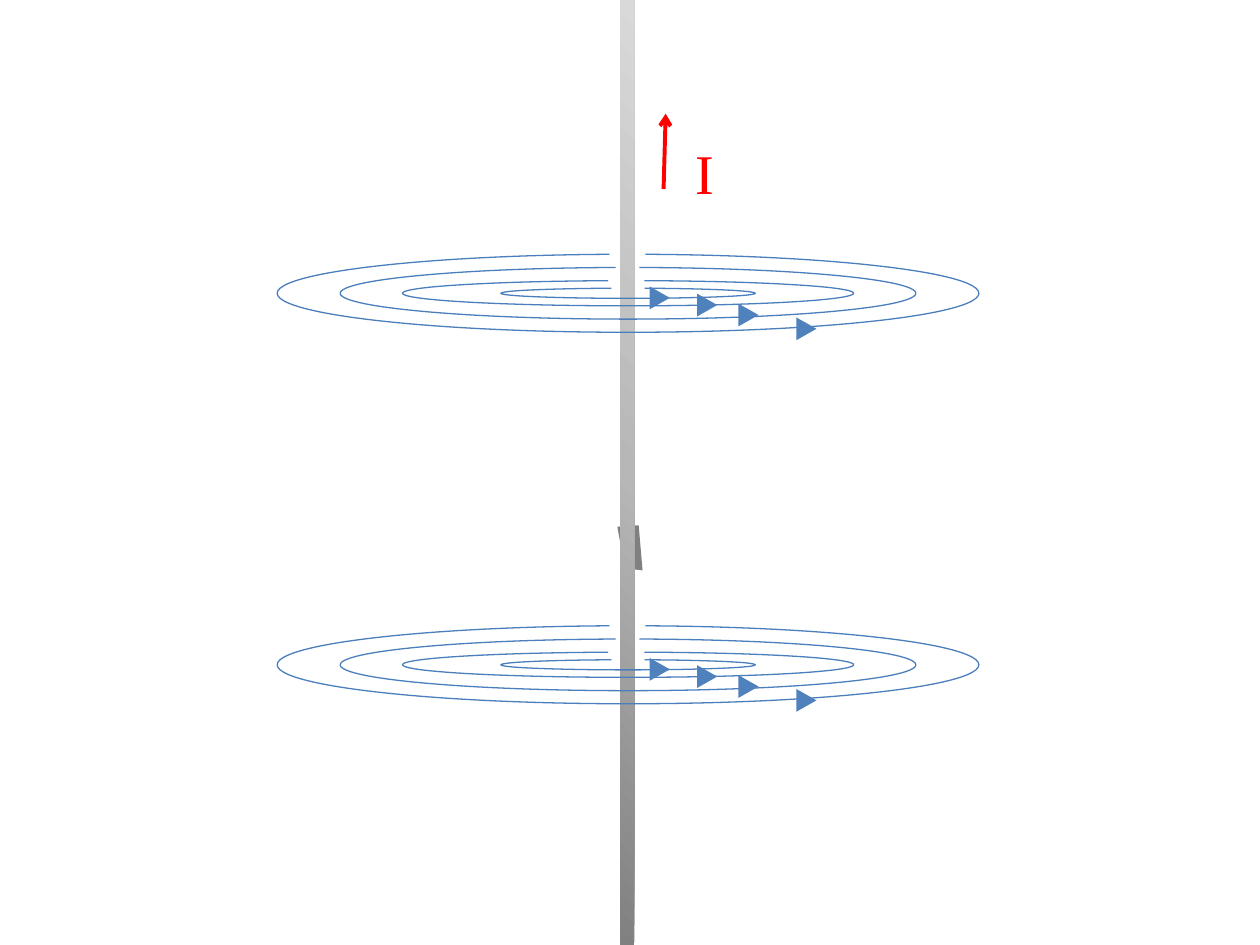
"""Draw the magnetic field rings around a straight wire carrying current I."""
from copy import deepcopy
from dataclasses import dataclass

from lxml.etree import SubElement
from pptx import Presentation
from pptx.dml.color import RGBColor
from pptx.enum.shapes import MSO_CONNECTOR, MSO_SHAPE
from pptx.enum.text import MSO_AUTO_SIZE
from pptx.oxml.ns import qn
from pptx.util import Pt


@dataclass(frozen=True)
class Theme:
    ring: str = "4B7EBC"
    head: str = "4F81BD"
    flow: str = "FF0000"
    shade: str = "808080"
    metal: tuple = ((0, "808080"), (0.5, "B7B7B7"), (1, "D9D9D9"))
    font: str = "Times New Roman"
    size: float = 32
    thin: float = 0.75
    thick: float = 2.25


class Board:
    def __init__(self, slide, theme):
        self.slide, self.theme = slide, theme

    def fill(self, shape, color):
        shape.shadow.inherit = False
        shape.fill.solid()
        shape.fill.fore_color.rgb = RGBColor.from_string(color)
        shape.line.fill.background()

    def wedge(self, points):
        pen = self.slide.shapes.build_freeform(*map(Pt, points[0]))
        pen.add_line_segments([(Pt(x), Pt(y)) for x, y in points[1:]], close=True)
        self.fill(pen.convert_to_shape(), self.theme.shade)

    def wire(self, *box):
        bar = self.slide.shapes.add_shape(MSO_SHAPE.RECTANGLE, *map(Pt, box))
        bar.shadow.inherit = False
        bar.line.fill.background()
        bar.fill.gradient()
        bar.fill.gradient_angle = 45
        stops = bar.fill.gradient_stops
        first = bar.fill._fill._gradFill.find(qn("a:gsLst"))[0]
        first.addnext(deepcopy(first))
        stops = bar.fill.gradient_stops
        for stop, (place, color) in zip(stops, self.theme.metal):
            stop.position = place
            stop.color.rgb = RGBColor.from_string(color)

    def ring(self, group, x, y, wide, high, start, end):
        arc = group.shapes.add_shape(
            MSO_SHAPE.ARC, Pt(x - wide / 2), Pt(y - high / 2), Pt(wide), Pt(high))
        arc.adjustments[0], arc.adjustments[1] = start, end
        arc.shadow.inherit = False
        arc.fill.background()
        arc.line.color.rgb = RGBColor.from_string(self.theme.ring)
        arc.line.width = Pt(self.theme.thin)

    def head(self, group, x, y, wide=13, high=11.5):
        tip = group.shapes.add_shape(
            MSO_SHAPE.ISOSCELES_TRIANGLE,
            Pt(x - wide / 2), Pt(y - high / 2), Pt(wide), Pt(high))
        tip.rotation = 90
        self.fill(tip, self.theme.head)

    def field(self, x, y, rings):
        group = self.slide.shapes.add_group_shape()
        for wide, high, start, end, right, down in rings:
            self.ring(group, x, y, wide, high, start, end)
            self.head(group, x + right, y + down)

    def arrow(self, *ends):
        link = self.slide.shapes.add_connector(MSO_CONNECTOR.STRAIGHT, *map(Pt, ends))
        link.line.color.rgb = RGBColor.from_string(self.theme.flow)
        link.line.width = Pt(self.theme.thick)
        SubElement(link.line._get_or_add_ln(), qn("a:tailEnd"), type="arrow")
        SubElement(link._element.spPr, qn("a:effectLst"))

    def label(self, text, *box):
        frame = self.slide.shapes.add_textbox(*map(Pt, box)).text_frame
        frame.word_wrap = False
        frame.auto_size = MSO_AUTO_SIZE.SHAPE_TO_FIT_TEXT
        line = frame.paragraphs[0]
        line.text = text
        line.font.name, line.font.size = self.theme.font, Pt(self.theme.size)
        line.font.color.rgb = RGBColor.from_string(self.theme.flow)


RINGS = (
    (401, 44.6, 176.39, 146.59, 101.9, 20.3),
    (329, 29.5, 176.39, 146.59, 68.8, 12.4),
    (257.8, 14.4, 193.39, 127.3, 45.2, 6.7),
    (145.4, 5.8, 205.84, 118.04, 18.1, 2.6),
)


def main():
    deck = Presentation()
    deck.slide_width, deck.slide_height = Pt(720), Pt(540)
    board = Board(deck.slides.add_slide(deck.slide_layouts[6]), Theme())
    board.wedge(((367.2, 326), (357.1, 324.7), (352.8, 301), (365, 300.2)))
    board.wire(354.3, 0, 8.2, 540)
    for level in (379.9, 167.6):
        board.field(358.9, level, RINGS)
    board.arrow(379.2, 108, 380.4, 65)
    board.label("I", 390.2, 75.6, 25.2, 46)
    deck.save("out.pptx")


if __name__ == "__main__":
    main()
